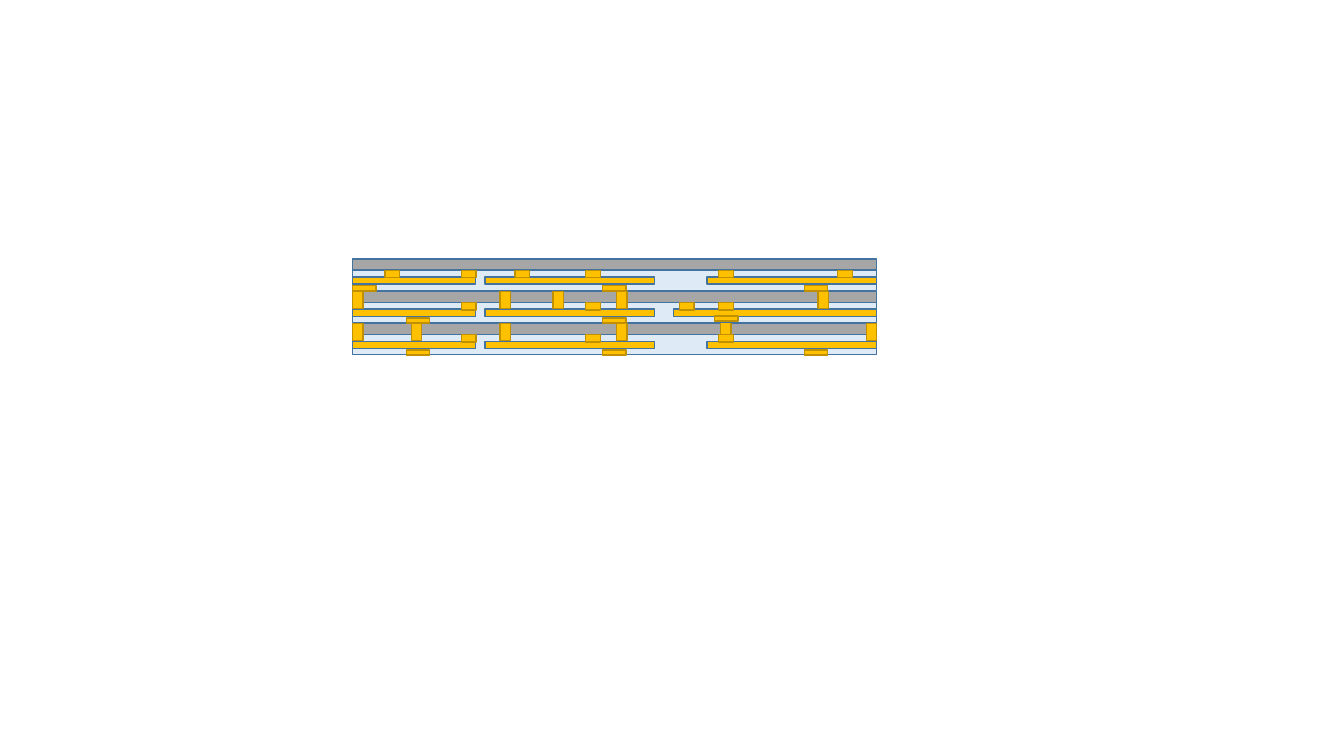
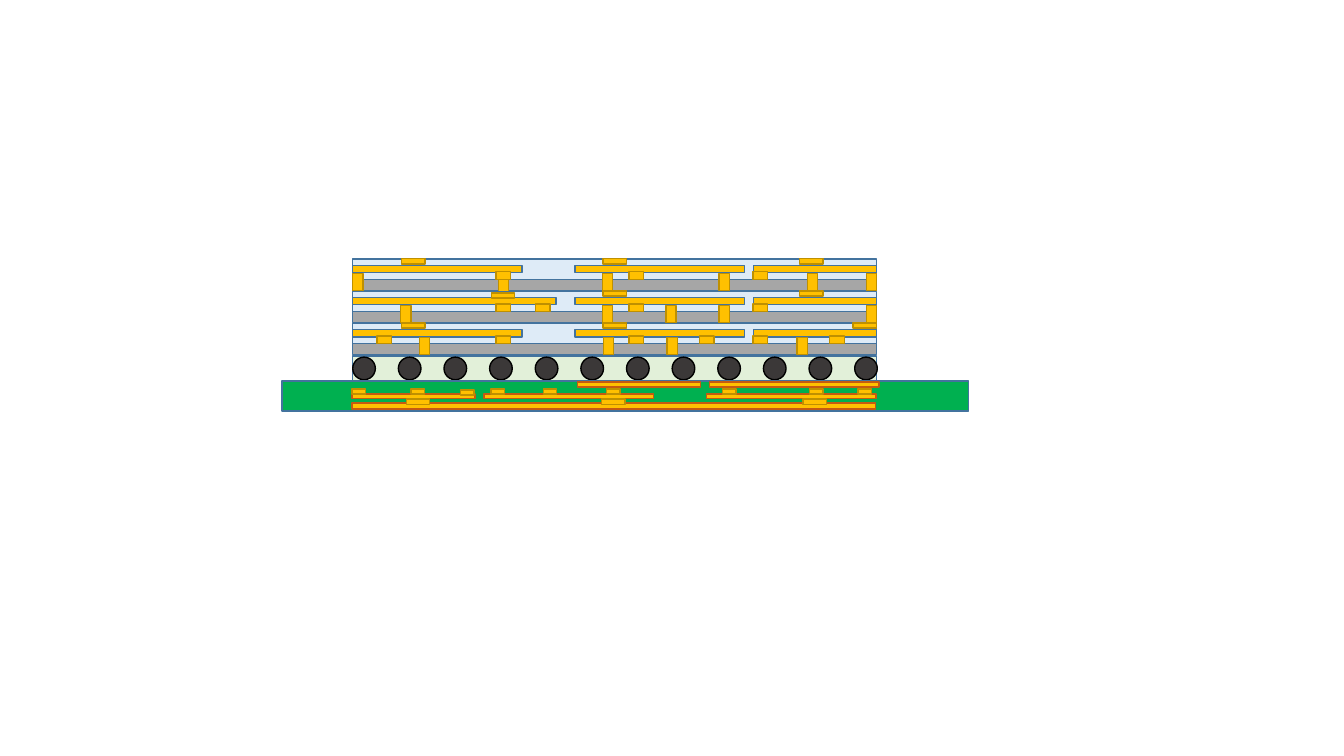
from dataclasses import dataclass, replace
from typing import Any

from pptx import Presentation
from pptx.dml.color import RGBColor
from pptx.enum.shapes import MSO_SHAPE as Form
from pptx.util import Cm, Pt


# Theme: colours and line width
@dataclass(frozen=True)
class Theme:
    gold: str = "FFC000"
    rust: str = "C55A11"
    bronze: str = "BF9000"
    blue: str = "43739E"
    oxide: str = "DEEBF7"
    metal: str = "A6A6A6"
    fill: str = "E2F0D9"
    board: str = "00B050"
    ball: str = "3B3838"
    black: str = "000000"
    line: float = 1


THEME = Theme()


# Model: lengths in cm, measured from the top left of the die or board
@dataclass(frozen=True)
class Box:
    x: float
    y: float
    w: float
    h: float

    def move(self, dx: float, dy: float) -> "Box":
        return replace(self, x=self.x + dx, y=self.y + dy)

    def turn(self) -> "Box":
        """Rotate half a turn within the die."""
        return replace(self, x=WIDTH - self.x - self.w, y=DEPTH - self.y - self.h)


@dataclass(frozen=True)
class Part:
    box: Box
    fill: str
    line: str
    form: Any = Form.RECTANGLE


@dataclass(frozen=True)
class Die:
    wires: tuple[Box, ...]
    vias: tuple[Box, ...]
    pads: tuple[Box, ...]
    taps: tuple[Box, ...]


LEFT, TOP, PITCH = 8.89, 6.53, 0.81
WIDTH, DEPTH, METAL = 13.2, 0.79, 0.28
SHORT, LONG = 3.1, 4.27  # wire lengths


def row(y: float, w: float, h: float, *xs: float) -> tuple[Box, ...]:
    return tuple(Box(x, y, w, h) for x in xs)


def wire(x: float, w: float) -> Box:
    return Box(x, 0.45, w, 0.18)


def vias(*xs: float, y: float = 0) -> tuple[Box, ...]:
    return row(y, 0.26, 0.43, *xs)


def pads(*xs: float, y: float = 0.67) -> tuple[Box, ...]:
    return row(y, 0.59, 0.13, *xs)


def taps(*xs: float) -> tuple[Box, ...]:
    return row(METAL, 0.37, 0.19, *xs)


# The three dies
BASE = (wire(0, SHORT), wire(3.33, LONG))
WIRES = (*BASE, wire(8.93, LONG))
LOW = Die(WIRES,
          vias(0, 1.48, 3.71, 6.65, 12.94) + vias(9.27, y=-0.13),
          pads(1.35, 6.3, 11.38),
          taps(2.74, 5.87, 9.22))
MID = Die((*BASE, wire(8.08, 5.12)),
          vias(0, 3.71, 5.05, 6.65, 11.73),
          pads(1.35, 6.3) + pads(9.12, y=0.62),
          taps(2.74, 5.87, 8.23, 9.22))
HIGH = Die(WIRES, (),
           pads(0, 6.3, 11.38),
           taps(0.81, 2.74, 4.09, 5.87, 9.22, 12.22))
BURIED = replace(HIGH, vias=vias(1.74, 5.02, 6.62, 11.26))


# Drawing
def draw(shapes: Any, part: Part) -> None:
    box = part.box
    shape = shapes.add_shape(part.form, Cm(box.x), Cm(box.y), Cm(box.w), Cm(box.h))
    shape.shadow.inherit = False
    shape.fill.solid()
    shape.fill.fore_color.rgb = RGBColor.from_string(part.fill)
    shape.line.color.rgb = RGBColor.from_string(part.line)
    shape.line.width = Pt(THEME.line)


def gold(boxes: tuple[Box, ...], line: str) -> list[Part]:
    return [Part(box, THEME.gold, line) for box in boxes]


def draw_die(slide: Any, die: Die, top: float, turned: bool = False) -> None:
    parts = [
        Part(Box(0, METAL, WIDTH, DEPTH - METAL), THEME.oxide, THEME.blue),
        Part(Box(0, 0, WIDTH, METAL), THEME.metal, THEME.blue),
        *gold(die.wires, THEME.blue),
        *gold(die.vias + die.pads + die.taps, THEME.bronze),
    ]
    group = slide.shapes.add_group_shape()
    for part in parts:
        box = part.box.turn() if turned else part.box
        draw(group.shapes, replace(part, box=box.move(LEFT, top)))


def draw_balls(slide: Any, top: float) -> None:
    for i in range(12):
        box = Box(LEFT + 1.15 * i, top, 0.57, 0.57)
        draw(slide.shapes, Part(box, THEME.ball, THEME.black, Form.OVAL))


def draw_board(slide: Any, top: float) -> None:
    traces = (Box(0, 0.33, SHORT, 0.12), Box(0, 0.56, WIDTH, 0.15),
              *row(0.33, LONG, 0.12, 3.33, 8.94),
              Box(5.68, 0.03, SHORT, 0.12), Box(9.01, 0.03, LONG, 0.12))
    studs = row(0.2, 0.34, 0.13, 0, 1.49, 3.5, 4.82, 6.42, 9.34, 11.53, 12.75)
    studs += row(0.23, 0.34, 0.13, 2.74)
    group = slide.shapes.add_group_shape()
    draw(group.shapes, Part(Box(7.11, top, 17.3, 0.76), THEME.board, THEME.blue))
    for part in (gold(traces, THEME.rust)
                 + gold(studs + pads(1.37, 6.29, 11.37, y=0.46), THEME.bronze)):
        draw(group.shapes, replace(part, box=part.box.move(LEFT - 0.02, top)))


# Slides
def main() -> None:
    deck = Presentation()
    deck.slide_width, deck.slide_height = Cm(33.87), Cm(19.05)
    blank = deck.slide_layouts[6]

    # Dies stacked upright
    stack = deck.slides.add_slide(blank)
    for i, die in enumerate((LOW, MID, HIGH)):
        draw_die(stack, die, TOP + PITCH * (2 - i))

    # Stack turned over and mounted on a board
    mount = deck.slides.add_slide(blank)
    draw(mount.shapes, Part(Box(LEFT, 8.97, WIDTH, 0.64), THEME.fill, THEME.blue))
    for i, die in enumerate((LOW, MID, BURIED)):
        draw_die(mount, die, TOP + PITCH * i, turned=True)
    draw_balls(mount, 9)
    draw_board(mount, 9.6)

    deck.save("out.pptx")


if __name__ == "__main__":
    main()
